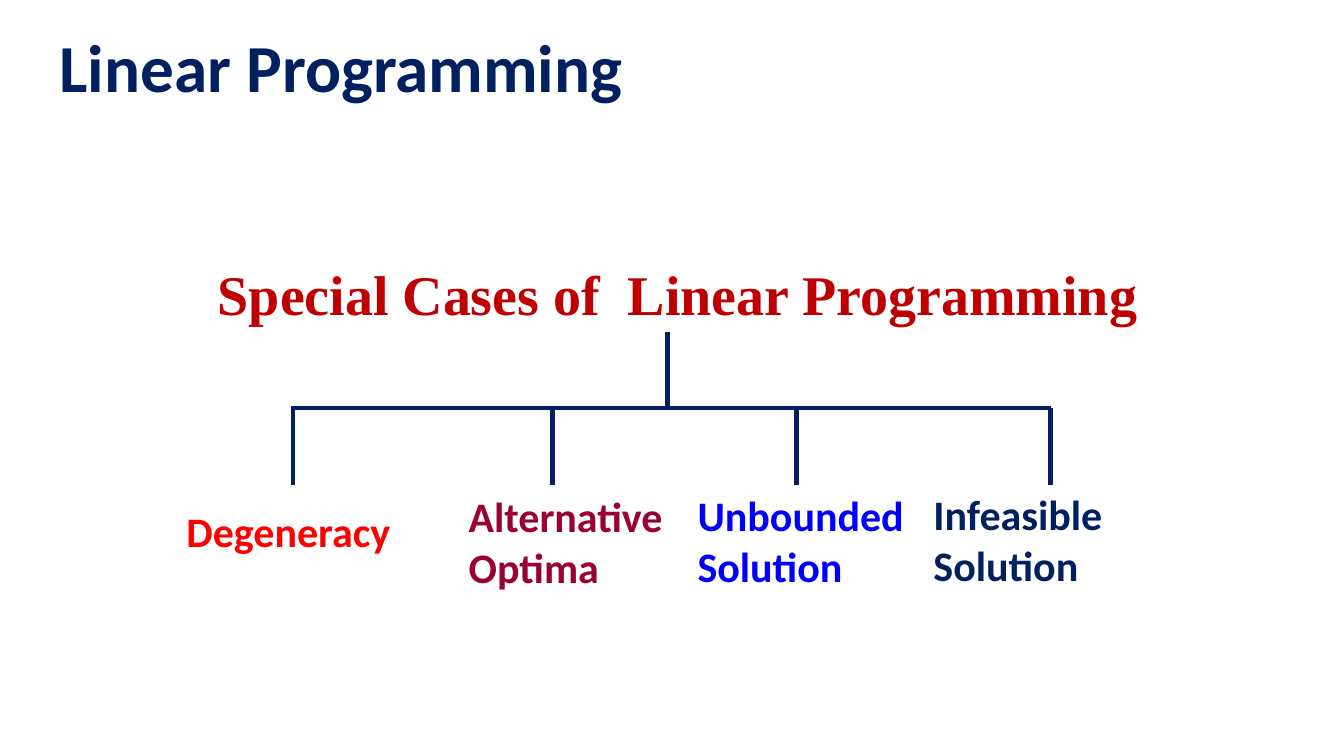
import pptx
import pptx.util
import pptx.dml.color
import pptx.enum.shapes
import pptx.enum.text
import pptx.oxml

Inches = pptx.util.Inches
NAVY = "002060"
# Each case: label, colour, label left and top, stem centre
CASES = [
    ("Degeneracy", "FF0000", 1.75, 4.97, 2.91),
    ("Alternative Optima", "990033", 4.55, 4.82, 5.48),
    ("Unbounded Solution", "0000FF", 6.82, 4.81, 7.9),
    ("Infeasible Solution", NAVY, 9.16, 4.8, 10.42),
]


def paint(hue):
    return pptx.dml.color.RGBColor.from_string(hue)


def place(shape, box):
    shape.left, shape.top, shape.width, shape.height = map(Inches, box)


def write(shape, text, size, hue, font="Calibri", align="LEFT"):
    frame = shape.text_frame
    frame.word_wrap = True
    para = frame.paragraphs[0]
    para.alignment = getattr(pptx.enum.text.PP_ALIGN, align)
    run = para.add_run()
    run.text = text
    run.font.name = font
    run.font.size = pptx.util.Pt(size)
    run.font.bold = True
    run.font.color.rgb = paint(hue)
    return para


def label(slide, box, text, size, hue, **style):
    shape = slide.shapes.add_textbox(*map(Inches, box))
    write(shape, text, size, hue, **style)


def line(group, *ends):
    edge = group.shapes.add_connector(
        pptx.enum.shapes.MSO_CONNECTOR.STRAIGHT, *map(Inches, ends))
    edge.line.color.rgb = paint(NAVY)
    edge.line.width = pptx.util.Pt(3)
    # Turn off the theme shadow
    props = edge.line._get_or_add_ln().getparent()
    props.append(pptx.oxml.parse_xml(
        '<a:effectLst xmlns:a="http://schemas.openxmlformats.org/drawingml/2006/main"/>'))


def title(slide, box):
    shape = slide.shapes.title
    place(shape, box)
    shape.text_frame.vertical_anchor = pptx.enum.text.MSO_ANCHOR.MIDDLE
    para = write(shape, "Linear Programming", 48, NAVY)
    para.line_spacing = 0.9


def tree(slide, box):
    left, top, width, height = box

    # Root of the tree
    label(slide, (left, top, width, 0.72),
          "Special Cases of  Linear Programming", 40, "C00000",
          font="Times New Roman", align="CENTER")

    # Trunk, crossbar and one stem per case
    stem = 0.76
    bar = top + 1.52
    trunk = left + width / 2 - 0.1
    group = slide.shapes.add_group_shape()
    line(group, trunk, bar - stem, trunk, bar)
    line(group, CASES[0][4] - 0.02, bar, CASES[-1][4], bar)
    for text, hue, x, y, mid in CASES:
        line(group, mid, bar, mid, bar + stem)

    # Case labels
    for text, hue, x, y, mid in CASES:
        label(slide, (x, y, 2.35, top + height - y), text, 30, hue)


def main():
    deck = pptx.Presentation()
    deck.slide_width = Inches(13.33)
    deck.slide_height = Inches(7.5)
    slide = deck.slides.add_slide(deck.slide_layouts[5])
    title(slide, (0.49, -0.02, 12.57, 1.45))
    tree(slide, (0.56, 2.53, 12.32, 3.4))
    deck.save("out.pptx")


if __name__ == "__main__":
    main()
